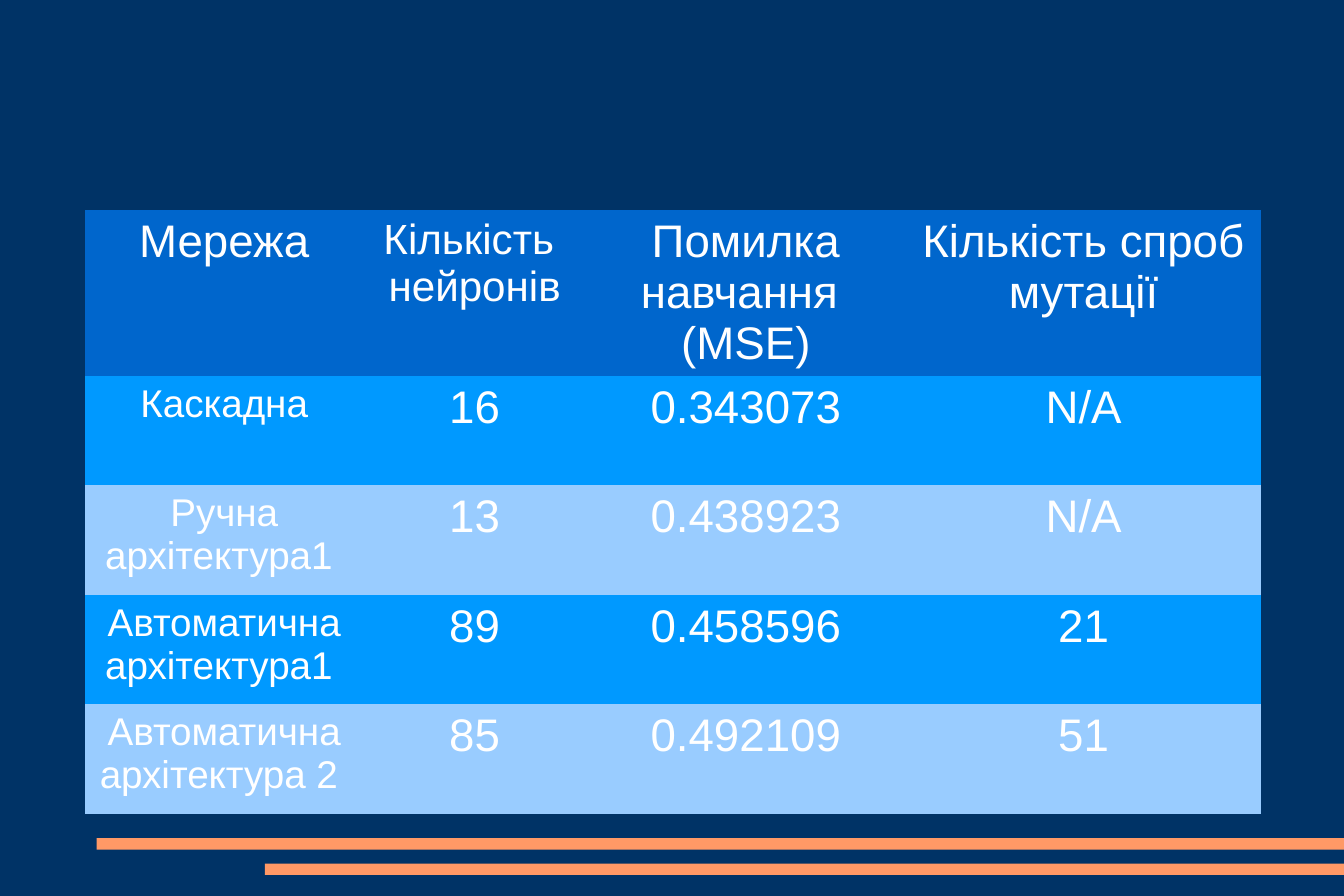
from lxml import etree
from pptx import Presentation
from pptx.dml.color import RGBColor
from pptx.enum.shapes import MSO_SHAPE
from pptx.enum.text import PP_ALIGN
from pptx.oxml.ns import qn
from pptx.util import Cm, Pt

RECT = MSO_SHAPE.RECTANGLE
CENTER = PP_ALIGN.CENTER
FONT = "Arial"
WIDE, HIGH = 27, 18
COLORS = {
    "back": "003366",
    "bar": "FF9966",
    "head": "0066CC",
    "odd": "0099FF",
    "even": "99CCFF",
    "text": "FFFFFF",
}
COLS = [5.59, 4.47, 6.43, 7.14]
HEAD_H, ROW_H = 3.1, 2.2
ROWS = [
    ["Мережа", "Кількість \nнейронів", "Помилка навчання \n(MSE)",
     "Кількість спроб мутації"],
    ["Каскадна", "16", "0.343073", "N/A"],
    ["Ручна архітектура1 ", "13", "0.438923", "N/A"],
    ["Автоматична архітектура1 ", "89", "0.458596", "21"],
    ["Автоматична архітектура 2 ", "85", "0.492109", "51"],
]


def paint(fill, name):
    fill.solid()
    fill.fore_color.rgb = RGBColor.from_string(COLORS[name])


def text_size(row, col):
    if row == 0:
        return 24 if col == 1 else 26
    return 22 if col == 0 else 26


def clear_edges(cell):
    """Remove the border lines that the table style would draw."""
    props = cell._tc.get_or_add_tcPr()
    for spot, tag in enumerate(("a:lnL", "a:lnR", "a:lnT", "a:lnB")):
        line = etree.Element(qn(tag), w="0")
        etree.SubElement(line, qn("a:noFill"))
        props.insert(spot, line)


def fill_cell(cell, text, size, shade):
    cell.text_frame.text = text
    for para in cell.text_frame.paragraphs:
        para.alignment = CENTER
        for run in para.runs:
            run.font.name = FONT
            run.font.size = Pt(size)
            run.font.bold = False
            run.font.color.rgb = RGBColor.from_string(COLORS["text"])
    paint(cell.fill, shade)
    clear_edges(cell)


def add_bars(slide, top):
    """Two stripes that run to the right edge of the slide."""
    for step, left in enumerate((1.94, 5.32)):
        bar = slide.shapes.add_shape(
            RECT, Cm(left), Cm(top + 0.51 * step), Cm(WIDE - left), Cm(0.23))
        bar.shadow.inherit = False
        paint(bar.fill, "bar")
        bar.line.fill.background()


def add_grid(slide, left, top):
    """The table of results, with its top left corner at the given place."""
    high = HEAD_H + ROW_H * (len(ROWS) - 1)
    table = slide.shapes.add_table(
        len(ROWS), len(COLS), Cm(left), Cm(top), Cm(sum(COLS)), Cm(high)).table
    for col, width in zip(table.columns, COLS):
        col.width = Cm(width)
    for r, texts in enumerate(ROWS):
        table.rows[r].height = Cm(ROW_H if r else HEAD_H)
        shade = ("odd" if r % 2 else "even") if r else "head"
        for c, text in enumerate(texts):
            fill_cell(table.cell(r, c), text, text_size(r, c), shade)


def main():
    deck = Presentation()
    deck.slide_width, deck.slide_height = Cm(WIDE), Cm(HIGH)
    slide = deck.slides.add_slide(deck.slide_layouts[6])
    paint(slide.background.fill, "back")
    add_bars(slide, 16.84)
    add_grid(slide, 1.71, 4.22)
    deck.save("out.pptx")


if __name__ == "__main__":
    main()
